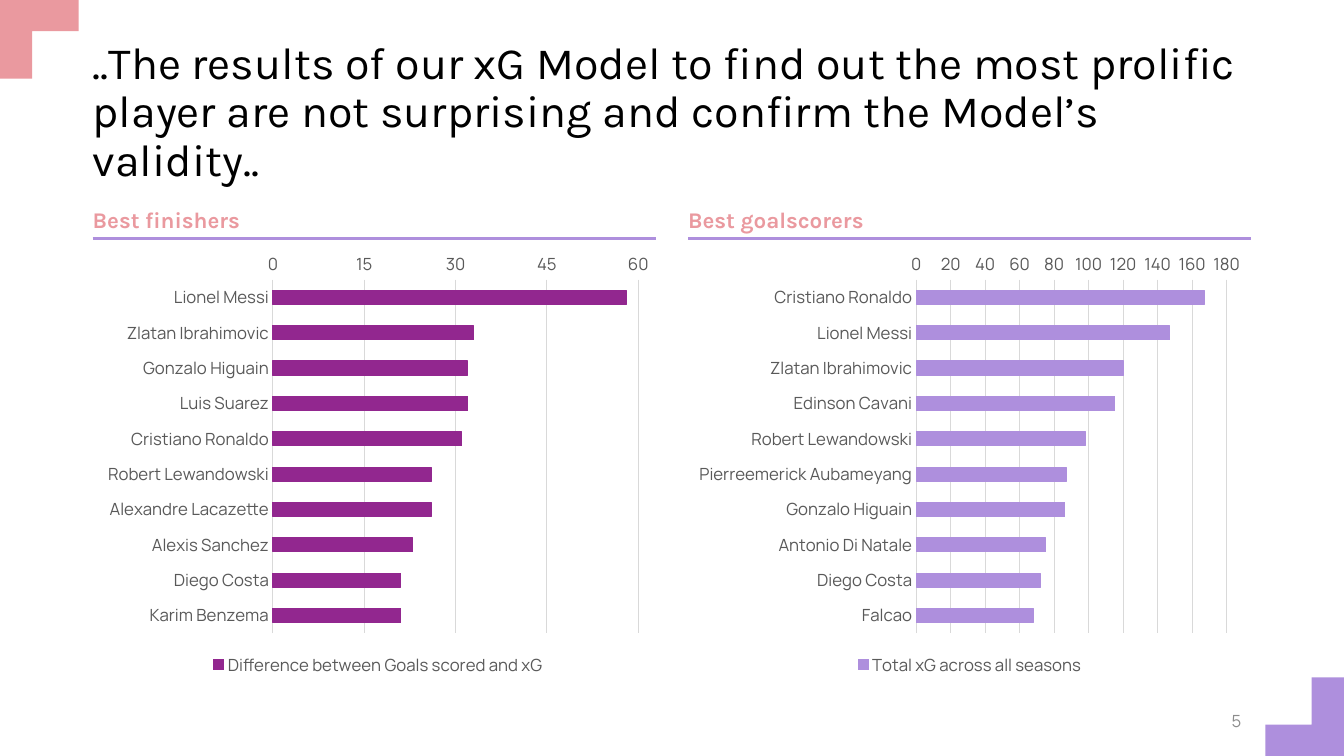
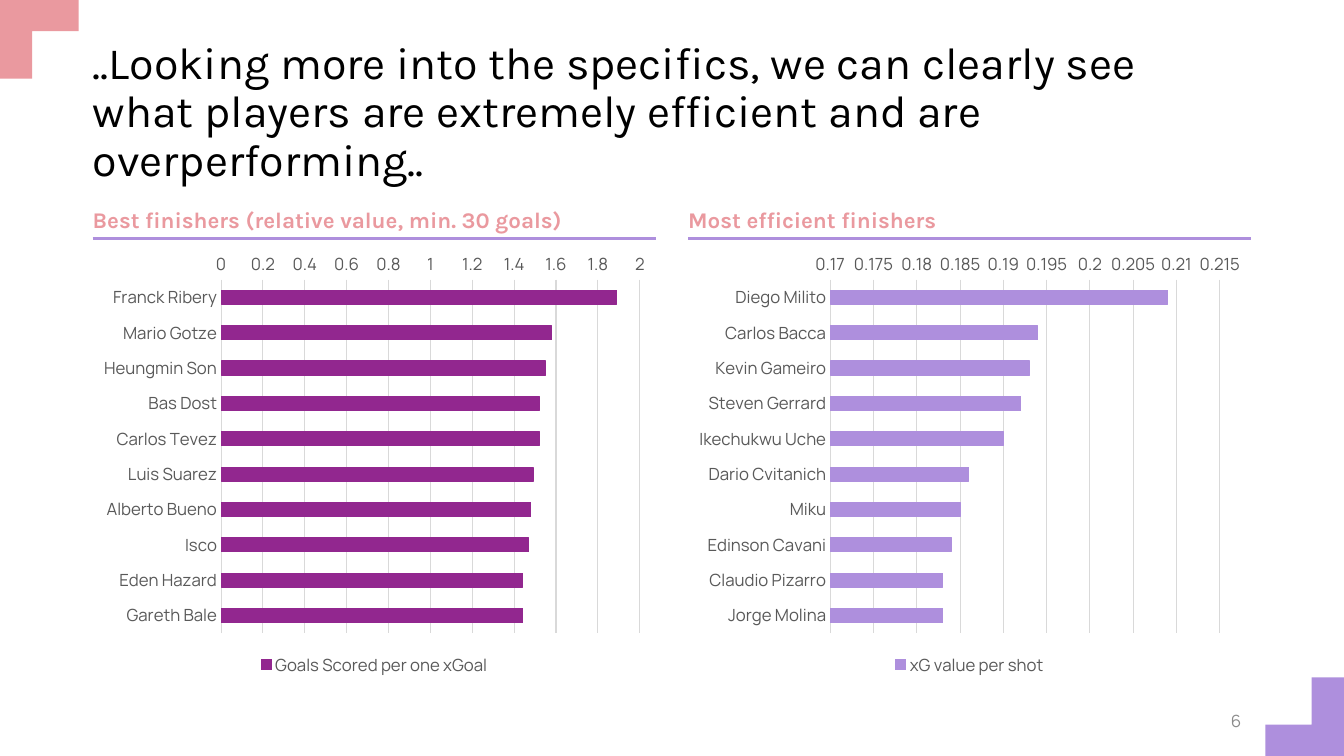
from dataclasses import dataclass

from pptx import Presentation
from pptx.chart.data import CategoryChartData
from pptx.dml.color import RGBColor
from pptx.enum.chart import XL_CHART_TYPE, XL_LEGEND_POSITION, XL_TICK_MARK
from pptx.enum.shapes import MSO_CONNECTOR
from pptx.enum.text import MSO_ANCHOR, PP_ALIGN
from pptx.oxml.ns import qn
from pptx.util import Inches, Pt

COLORS = {
    "pink": "EA999F",
    "lilac": "AE8FDD",
    "purple": "92278F",
    "title": "000000",
    "number": "8C8C8C",
    "label": "595959",
    "grid": "D9D9D9",
}
HEAD_FONT, BODY_FONT = "Karla", "Manrope"

WIDTH, HEIGHT = 13.33, 7.5
MARGIN, GUTTER = 0.92, 0.32
CONTENT = WIDTH - 2 * MARGIN
COLUMN = (CONTENT - GUTTER) / 2
PANEL_TOP, PANEL_HEIGHT = 2, 4.75
HEADING_HEIGHT, RULE_DROP, CHART_DROP = 0.31, 0.37, 0.42
CORNER, CORNER_ROW, CORNER_COLUMN = 0.78, 0.31, 0.32


@dataclass
class Panel:
    heading: str
    series: str
    values: dict
    axis: tuple  # minimum, maximum, major unit
    color: str
    nudge: float = 0


SLIDES = [
    (5, "..The results of our xG Model to find out the most prolific player "
        "are not surprising and confirm the Model’s validity..", [
        Panel("Best finishers", "Difference between Goals scored and xG", {
            "Lionel Messi": 58, "Zlatan Ibrahimovic": 33,
            "Gonzalo Higuain": 32, "Luis Suarez": 32,
            "Cristiano Ronaldo": 31, "Robert Lewandowski": 26,
            "Alexandre Lacazette": 26, "Alexis Sanchez": 23,
            "Diego Costa": 21, "Karim Benzema": 21,
        }, (0, 60, 15), "purple", nudge=0.04),
        Panel("Best goalscorers", "Total xG across all seasons", {
            "Cristiano Ronaldo": 167, "Lionel Messi": 147,
            "Zlatan Ibrahimovic": 120, "Edinson Cavani": 115,
            "Robert Lewandowski": 98, "Pierreemerick Aubameyang": 87,
            "Gonzalo Higuain": 86, "Antonio Di Natale": 75,
            "Diego Costa": 72, "Falcao": 68,
        }, (0, 180, 20), "lilac"),
    ]),
    (6, "..Looking more into the specifics, we can clearly see what players "
        "are extremely efficient and are overperforming..", [
        Panel("Best finishers (relative value, min. 30 goals)",
              "Goals Scored per one xGoal", {
            "Franck Ribery": 1.89, "Mario Gotze": 1.58,
            "Heungmin Son": 1.55, "Bas Dost": 1.52,
            "Carlos Tevez": 1.52, "Luis Suarez": 1.49,
            "Alberto Bueno": 1.48, "Isco": 1.47,
            "Eden Hazard": 1.44, "Gareth Bale": 1.44,
        }, (0, 2, 0.2), "purple"),
        Panel("Most efficient finishers", "xG value per shot", {
            "Diego Milito": 0.209, "Carlos Bacca": 0.194,
            "Kevin Gameiro": 0.193, "Steven Gerrard": 0.192,
            "Ikechukwu Uche": 0.19, "Dario Cvitanich": 0.186,
            "Miku": 0.185, "Edinson Cavani": 0.184,
            "Claudio Pizarro": 0.183, "Jorge Molina": 0.183,
        }, (0.17, 0.215, 0.005), "lilac"),
    ]),
]


def rgb(name):
    return RGBColor.from_string(COLORS[name])


def inches(box):
    return [Inches(v) for v in box]


def set_font(font, name, size, color, bold=False):
    font.name, font.size, font.bold = name, Pt(size), bold
    font.color.rgb = rgb(color)


def set_line(line, color, width):
    line.color.rgb = rgb(color)
    line.width = Pt(width)


def add_text(s, box, text, font, size, color, anchor=MSO_ANCHOR.MIDDLE,
             insets=(0.1, 0.05, 0.1, 0.05), bold=False):
    """Add a one-paragraph text box and return its paragraph."""
    tf = s.shapes.add_textbox(*inches(box)).text_frame
    tf.word_wrap = True
    tf.vertical_anchor = anchor
    tf.margin_left, tf.margin_top, tf.margin_right, tf.margin_bottom = inches(insets)
    p = tf.paragraphs[0]
    p.text = text
    set_font(p.font, font, size, color, bold)
    return p


def add_corner(s, x, y, inward, color):
    """Add an L with its elbow at (x, y); inward is 1 or -1."""
    steps = [(0, 0), (CORNER, 0), (CORNER, CORNER_ROW),
             (CORNER_COLUMN, CORNER_ROW), (CORNER_COLUMN, CORNER), (0, CORNER)]
    points = [inches((x + inward * dx, y + inward * dy)) for dx, dy in steps]
    outline = s.shapes.build_freeform(*points[0])
    outline.add_line_segments(points[1:], close=True)
    sp = outline.convert_to_shape()
    sp.shadow.inherit = False
    sp.fill.solid()
    sp.fill.fore_color.rgb = rgb(color)
    sp.line.fill.background()


def add_rule(s, left, top, width):
    rule = s.shapes.add_connector(
        MSO_CONNECTOR.STRAIGHT, *inches((left, top, left + width, top)))
    set_line(rule.line, "lilac", 2.25)
    properties = rule._element.spPr
    properties.append(properties.makeelement(qn("a:effectLst"), {}))


def add_bar_chart(s, box, panel):
    data = CategoryChartData()
    data.categories = list(panel.values)
    data.add_series(panel.series, list(panel.values.values()))
    chart = s.shapes.add_chart(XL_CHART_TYPE.BAR_STACKED, *inches(box), data).chart
    set_font(chart.font, BODY_FONT, 12, "label")
    chart.has_title = False
    chart.has_legend = True
    chart.legend.position = XL_LEGEND_POSITION.BOTTOM
    chart.legend.include_in_layout = False

    plot = chart.plots[0]
    plot.gap_width, plot.overlap = 150, 100
    plot.vary_by_categories = False
    bars = plot.series[0].format
    bars.fill.solid()
    bars.fill.fore_color.rgb = rgb(panel.color)
    set_line(bars.line, panel.color, 0.75)

    names, scale = chart.category_axis, chart.value_axis
    for axis in (names, scale):
        axis.major_tick_mark = axis.minor_tick_mark = XL_TICK_MARK.NONE
    names.reverse_order = True
    set_line(names.format.line, "grid", 0.75)
    scale.minimum_scale, scale.maximum_scale, scale.major_unit = panel.axis
    scale.format.line.fill.background()
    scale.has_major_gridlines = True
    set_line(scale.major_gridlines.format.line, "grid", 0.75)
    scale.tick_labels.number_format = "General"
    scale.tick_labels.number_format_is_linked = False


def add_panel(s, box, panel):
    """Add a heading, its rule and the chart below them."""
    left, top, width, height = box
    add_rule(s, left, top + RULE_DROP, width)
    add_text(s, (left, top, width, HEADING_HEIGHT), panel.heading, HEAD_FONT, 16,
             "pink", MSO_ANCHOR.BOTTOM, (0, 0, 0.08, 0), bold=True)
    add_bar_chart(s, (left + panel.nudge, top + CHART_DROP, width,
                      height - CHART_DROP), panel)


def add_frame(s, title, number):
    """Add the corners, title and slide number that all slides share."""
    add_corner(s, 0, 0, 1, "pink")
    add_corner(s, WIDTH, HEIGHT, -1, "lilac")
    p = add_text(s, (MARGIN, 0.4, CONTENT, 1.45), title, HEAD_FONT, 32, "title",
                 insets=(0, 0.04, 0.04, 0.04))
    p.line_spacing = 0.9
    p = add_text(s, (WIDTH - MARGIN - 3, 6.95, 3, 0.4), str(number), BODY_FONT, 12,
                 "number")
    p.alignment = PP_ALIGN.RIGHT


def add_chart_slide(prs, number, title, panels):
    s = prs.slides.add_slide(prs.slide_layouts[6])
    add_frame(s, title, number)
    for i, panel in enumerate(panels):
        left = MARGIN + i * (COLUMN + GUTTER)
        add_panel(s, (left, PANEL_TOP, COLUMN, PANEL_HEIGHT), panel)


def main():
    prs = Presentation()
    prs.slide_width, prs.slide_height = inches((WIDTH, HEIGHT))
    for number, title, panels in SLIDES:
        add_chart_slide(prs, number, title, panels)
    prs.save("out.pptx")


if __name__ == "__main__":
    main()
